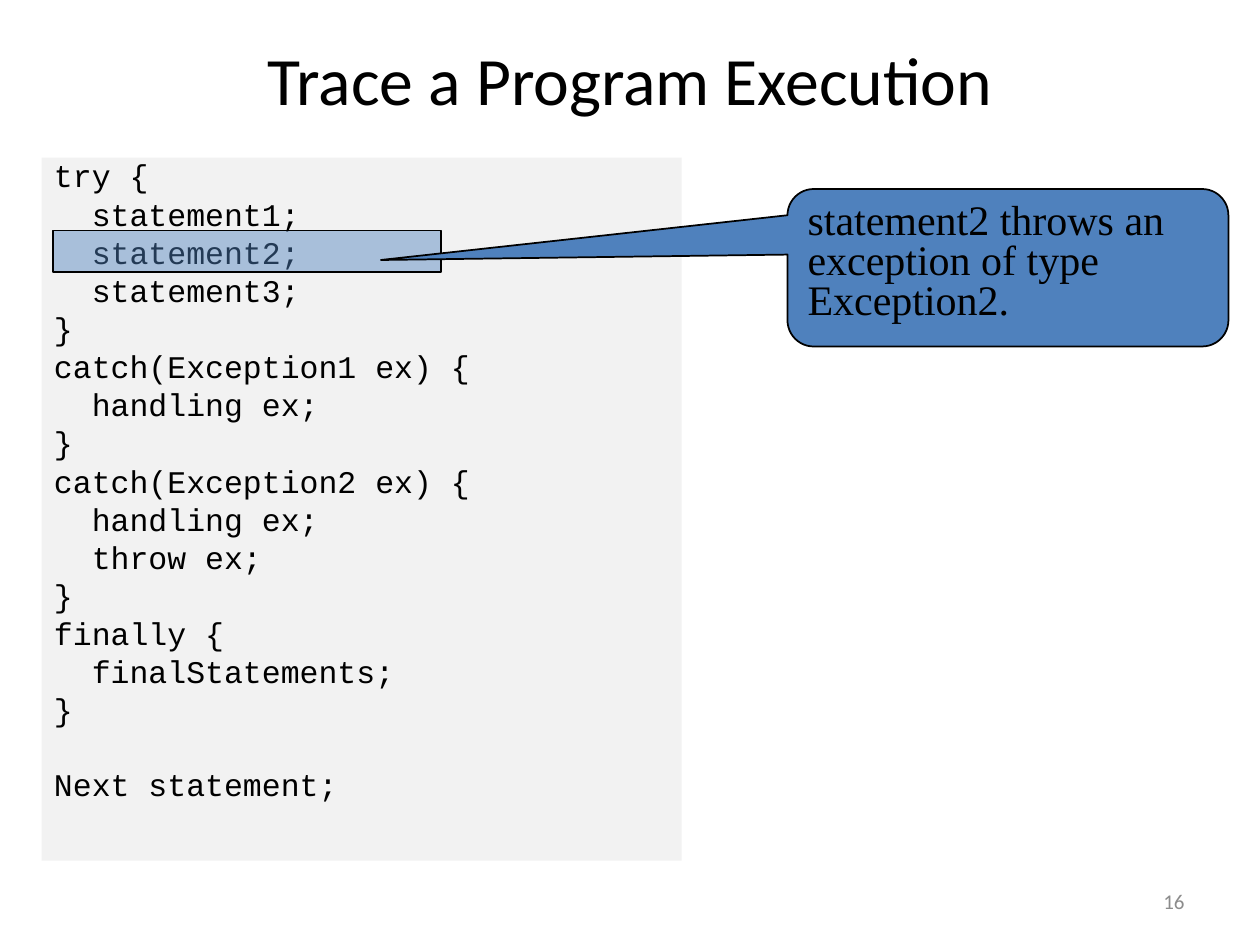
from dataclasses import dataclass

from lxml import etree
from pptx import Presentation
from pptx.dml.color import RGBColor
from pptx.enum.shapes import MSO_SHAPE
from pptx.enum.text import MSO_ANCHOR, PP_ALIGN
from pptx.oxml.ns import qn
from pptx.util import Inches, Pt


@dataclass(frozen=True)
class Theme:
    ink: RGBColor = RGBColor(0, 0, 0)
    muted: RGBColor = RGBColor(0x8C, 0x8C, 0x8C)
    panel: RGBColor = RGBColor(0xF2, 0xF2, 0xF2)
    accent: RGBColor = RGBColor(0x4F, 0x81, 0xBD)
    heading_font: str = "Calibri"
    code_font: str = "Courier New"
    callout_font: str = "Times New Roman"
    title_size: float = 38.7
    code_size: float = 18
    callout_size: float = 24
    number_size: float = 12


THEME = Theme()
LINE_SPACING = 0.8
CODE_GAP = 4.5       # points before each code line
CODE_PITCH = 20.8    # points from one code line to the next
INDENT_STEP = 0.3    # two code characters

# Indent level and wording of each line, grouped by blank line
CODE_BLOCKS = [
    [(0, "try {"), (1, "statement1;"), (1, "statement2;"),
     (1, "statement3;"), (0, "}"),
     (0, "catch(Exception1 ex) {"), (1, "handling ex;"), (0, "}"),
     (0, "catch(Exception2 ex) {"), (1, "handling ex;"),
     (1, "throw ex;"), (0, "}"),
     (0, "finally {"), (1, "finalStatements;"), (0, "}")],
    [(0, "Next statement;")],
]


def style(paragraph, font, size, color, align=PP_ALIGN.LEFT):
    paragraph.font.name = font
    paragraph.font.size = Pt(size)
    paragraph.font.color.rgb = color
    paragraph.alignment = align


def add_panel(slide, kind, box, fill, outlined=True):
    panel = slide.shapes.add_shape(kind, *map(Inches, box))
    panel.shadow.inherit = False
    panel.fill.solid()
    panel.fill.fore_color.rgb = fill
    if outlined:
        panel.line.color.rgb = THEME.ink
        panel.line.width = Pt(1)
    else:
        panel.line.fill.background()
    panel.text_frame.word_wrap = True
    panel.text_frame.vertical_anchor = MSO_ANCHOR.TOP
    return panel


def add_label(slide, box, text, size, color, align):
    frame = slide.shapes.add_textbox(*map(Inches, box)).text_frame
    frame.word_wrap = True
    frame.vertical_anchor = MSO_ANCHOR.MIDDLE
    frame.text = text
    style(frame.paragraphs[0], THEME.heading_font, size, color, align)


def add_code(slide, box):
    frame = add_panel(slide, MSO_SHAPE.RECTANGLE, box, THEME.panel,
                      outlined=False).text_frame
    line = frame.paragraphs[0]
    for block_index, block in enumerate(CODE_BLOCKS):
        for line_index, (level, text) in enumerate(block):
            if block_index or line_index:
                line = frame.add_paragraph()
            line.text = text
            style(line, THEME.code_font, THEME.code_size, THEME.ink)
            line.line_spacing = LINE_SPACING
            starts_block = block_index > 0 and line_index == 0
            line.space_before = Pt(CODE_GAP + CODE_PITCH * starts_block)
            if level:
                properties = line._p.get_or_add_pPr()
                properties.set("marL", str(Inches(INDENT_STEP * level)))
                properties.set("indent", "0")


def add_highlight(slide, code_box):
    left, top = code_box[:2]
    highlight = add_panel(slide, MSO_SHAPE.RECTANGLE,
                          (left + 0.09, top + 0.58, 3.08, 0.33), THEME.accent)
    # Let the code line show through
    color = highlight.fill._xPr.find(qn("a:solidFill"))[0]
    etree.SubElement(color, qn("a:alpha")).set("val", "45000")


def add_callout(slide, box, text):
    callout = add_panel(slide, MSO_SHAPE.ROUNDED_RECTANGULAR_CALLOUT, box,
                        THEME.accent)
    # Pointer tip, relative to the callout's centre, then corner radius
    for index, value in enumerate((-1.422, -0.049, 0.167)):
        callout.adjustments[index] = value
    callout.text_frame.text = text
    message = callout.text_frame.paragraphs[0]
    style(message, THEME.callout_font, THEME.callout_size, THEME.ink)
    message.line_spacing = LINE_SPACING
    message.space_before = Pt(THEME.callout_size * 0.2)


def build_trace_slide(presentation):
    slide = presentation.slides.add_slide(presentation.slide_layouts[6])
    code_box = (0.33, 1.25, 5.08, 5.58)
    # Title
    add_label(slide, (0.75, 0.33, 8.5, 0.58), "Trace a Program Execution",
              THEME.title_size, THEME.ink, PP_ALIGN.CENTER)
    # Code listing
    add_code(slide, code_box)
    # Slide number
    add_label(slide, (7.17, 6.95, 2.33, 0.4), "16",
              THEME.number_size, THEME.muted, PP_ALIGN.RIGHT)
    # Current statement and its explanation
    add_highlight(slide, code_box)
    add_callout(slide, (6.25, 1.5, 3.5, 1.25),
                "statement2 throws an exception of type Exception2.")


presentation = Presentation()
presentation.slide_width = Inches(10)
presentation.slide_height = Inches(7.5)
build_trace_slide(presentation)
presentation.save("out.pptx")
